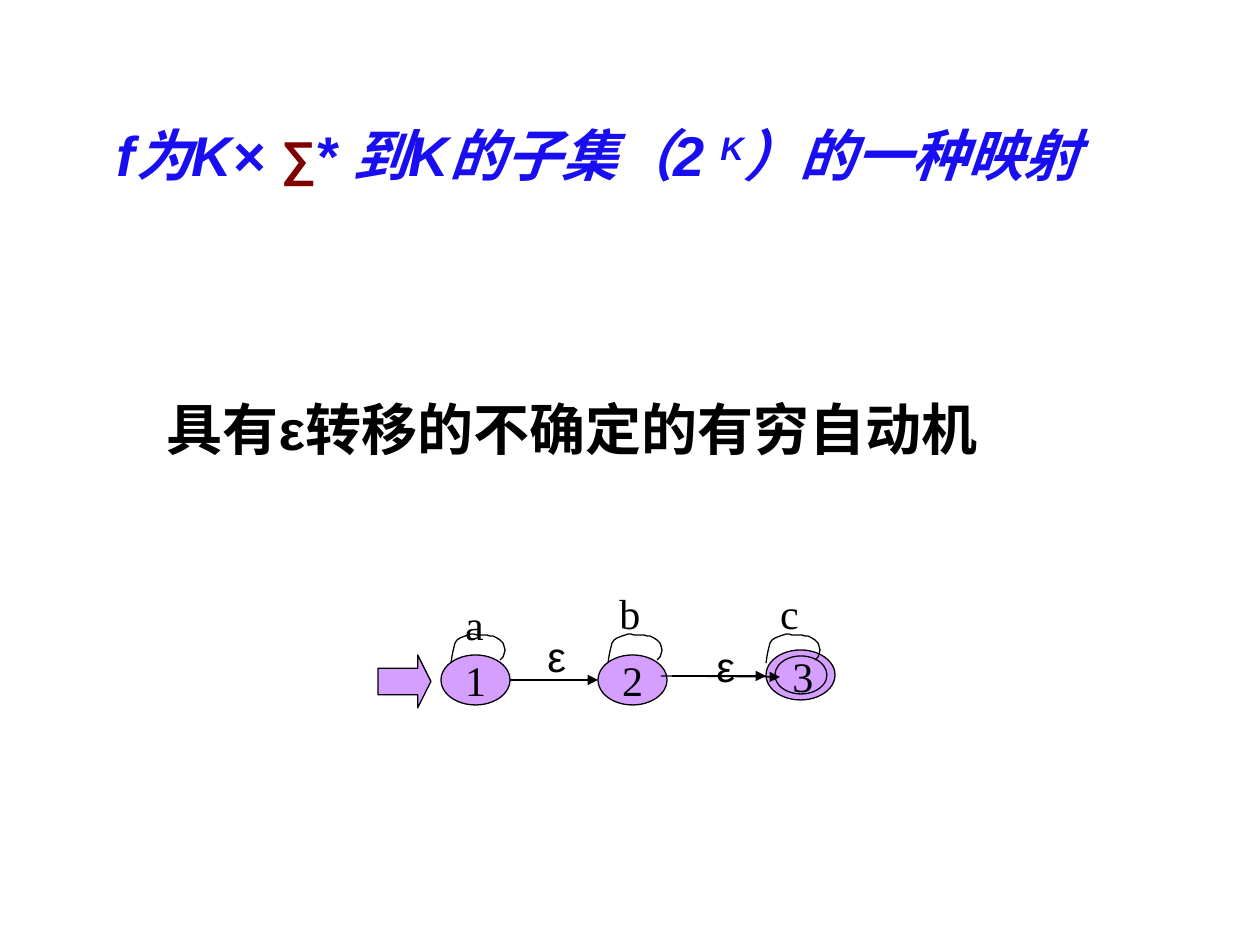
from dataclasses import dataclass

from lxml.etree import SubElement
from pptx import Presentation
from pptx.dml.color import RGBColor
from pptx.enum.shapes import MSO_CONNECTOR, MSO_SHAPE
from pptx.enum.text import MSO_ANCHOR, PP_ALIGN
from pptx.oxml.ns import qn
from pptx.util import Emu, Pt

PX = 914400 / 126


@dataclass(frozen=True)
class Theme:
    black: RGBColor = RGBColor(0x00, 0x00, 0x00)
    title: RGBColor = RGBColor(0x19, 0x0E, 0xF2)
    sigma: RGBColor = RGBColor(0x80, 0x00, 0x00)
    state: RGBColor = RGBColor(0xD4, 0x9F, 0xFF)
    sans: str = "Arial"
    serif: str = "Times New Roman"
    heading_size: int = 32
    sigma_size: int = 28
    label_size: int = 24
    line_width: float = 0.75


THEME = Theme()


def px(value):
    return Emu(round(value * PX))


def place(shape, box):
    shape.left, shape.top, shape.width, shape.height = map(px, box)


def format_run(run, font_name, size, color, bold=False, italic=False):
    font = run.font
    font.name, font.size = font_name, Pt(size)
    font.bold, font.italic = bold, italic
    font.color.rgb = color


def add_title(slide, box):
    title = slide.shapes.title
    place(title, box)
    title.text_frame.vertical_anchor = MSO_ANCHOR.MIDDLE
    paragraph = title.text_frame.paragraphs[0]
    paragraph.alignment = PP_ALIGN.CENTER
    for text in ("f为K× ", "∑", "* 到K的子集（2 ", "K", "）的一种映射"):
        run = paragraph.add_run()
        run.text = text
        is_sigma = text == "∑"
        size = THEME.sigma_size if is_sigma else THEME.heading_size
        color = THEME.sigma if is_sigma else THEME.title
        format_run(run, THEME.sans, size, color, bold=True, italic=True)
        if text == "K":
            run.font._element.set("baseline", "30000")


def add_body(slide, box, top_inset):
    body = slide.placeholders[1]
    place(body, box)
    body.text_frame.margin_top = px(top_inset)
    paragraph = body.text_frame.paragraphs[0]
    properties = paragraph._p.get_or_add_pPr()
    properties.set("marL", str(px(48)))
    properties.set("indent", str(-px(48)))
    SubElement(properties, qn("a:buNone"))
    paragraph.space_before = Pt(0)
    for text in ("具有", "ε", "转移的不确定的有穷自动机"):
        run = paragraph.add_run()
        run.text = text
        font_name = THEME.sans if text == "ε" else THEME.serif
        format_run(run, font_name, THEME.heading_size, THEME.black, bold=True)


def style_line(shape):
    shape.line.color.rgb = THEME.black
    shape.line.width = Pt(THEME.line_width)


def write_label(shape, text, font_name):
    frame = shape.text_frame
    frame.text = text
    frame.word_wrap = False
    frame.vertical_anchor = MSO_ANCHOR.MIDDLE
    paragraph = frame.paragraphs[0]
    paragraph.alignment = PP_ALIGN.CENTER
    format_run(paragraph.runs[0], font_name, THEME.label_size, THEME.black)


def add_filled(shapes, kind, box):
    shape = shapes.add_shape(kind, *map(px, box))
    shape.shadow.inherit = False
    shape.fill.solid()
    shape.fill.fore_color.rgb = THEME.state
    style_line(shape)
    return shape


def add_label(shapes, box, text, font_name):
    write_label(shapes.add_textbox(*map(px, box)), text, font_name)


def add_arrow(shapes, start, end):
    connector = shapes.add_connector(MSO_CONNECTOR.STRAIGHT, *map(px, start + end))
    style_line(connector)
    SubElement(connector.line._get_or_add_ln(), qn("a:tailEnd"), type="triangle")
    SubElement(connector._element.spPr, qn("a:effectLst"))


def bezier(points, steps=8):
    for step in range(1, steps + 1):
        t = step / steps
        weights = ((1 - t) ** 3, 3 * t * (1 - t) ** 2, 3 * t**2 * (1 - t), t**3)
        yield tuple(
            sum(weight * point[axis] for weight, point in zip(weights, points))
            for axis in (0, 1)
        )


def add_loop(shapes, left, top):
    controls = [(0, 29), (4, 10), (1, 4), (20, 0), (28, 1),
                (34, 1), (42, 2), (54, 5), (58, 19), (49, 26)]
    controls = [(left + x, top + y) for x, y in controls]
    builder = shapes.build_freeform(*controls[0], scale=PX)
    vertices = [vertex for first in (0, 3, 6)
                for vertex in bezier(controls[first:first + 4])]
    builder.add_line_segments(vertices, close=False)
    loop = builder.convert_to_shape()
    loop.shadow.inherit = False
    loop.fill.background()
    style_line(loop)


def add_final_state(shapes, left, top):
    members = shapes.add_group_shape().shapes
    add_filled(members, MSO_SHAPE.OVAL, (left, top, 69, 50))
    add_filled(members, MSO_SHAPE.OVAL, (left + 9, top + 6, 52, 38))
    add_label(members, (left + 14, top - 6, 45, 63), "3", THEME.serif)


def add_automaton(slide, left, top):
    shapes = slide.shapes
    for text, x in (("1", 63), ("2", 220)):
        state = add_filled(shapes, MSO_SHAPE.OVAL, (left + x, top + 74, 69, 50))
        write_label(state, text, THEME.serif)

    add_arrow(shapes, (left + 132, top + 99), (left + 220, top + 99))
    for x, y in ((157, 43), (326, 53)):
        add_label(shapes, (left + x, top + y, 43, 63), "ε", THEME.sans)

    add_final_state(shapes, left + 388, top + 69)
    entry = add_filled(shapes, MSO_SHAPE.RIGHT_ARROW, (left, top + 74, 53, 53))
    entry.adjustments[0], entry.adjustments[1] = 0.5, 0.25

    for x in (73, 230, 388):
        add_loop(shapes, left + x, top + 53)

    add_arrow(shapes, (left + 294, top + 95), (left + 388, top + 95))
    add_arrow(shapes, (left + 283, top + 95), (left + 402, top + 96))

    for text, x, y in (("a", 74, 11), ("b", 229, 0), ("c", 389, 0)):
        add_label(shapes, (left + x, top + y, 45, 63), text, THEME.serif)


def main():
    presentation = Presentation()
    presentation.slide_width, presentation.slide_height = px(1260), px(945)
    slide = presentation.slides.add_slide(presentation.slide_layouts[1])
    add_title(slide, (63, 76, 1071, 157))
    add_body(slide, (154, 224, 1071, 567), top_inset=170)
    add_automaton(slide, 378, 581)
    presentation.save("out.pptx")


if __name__ == "__main__":
    main()
